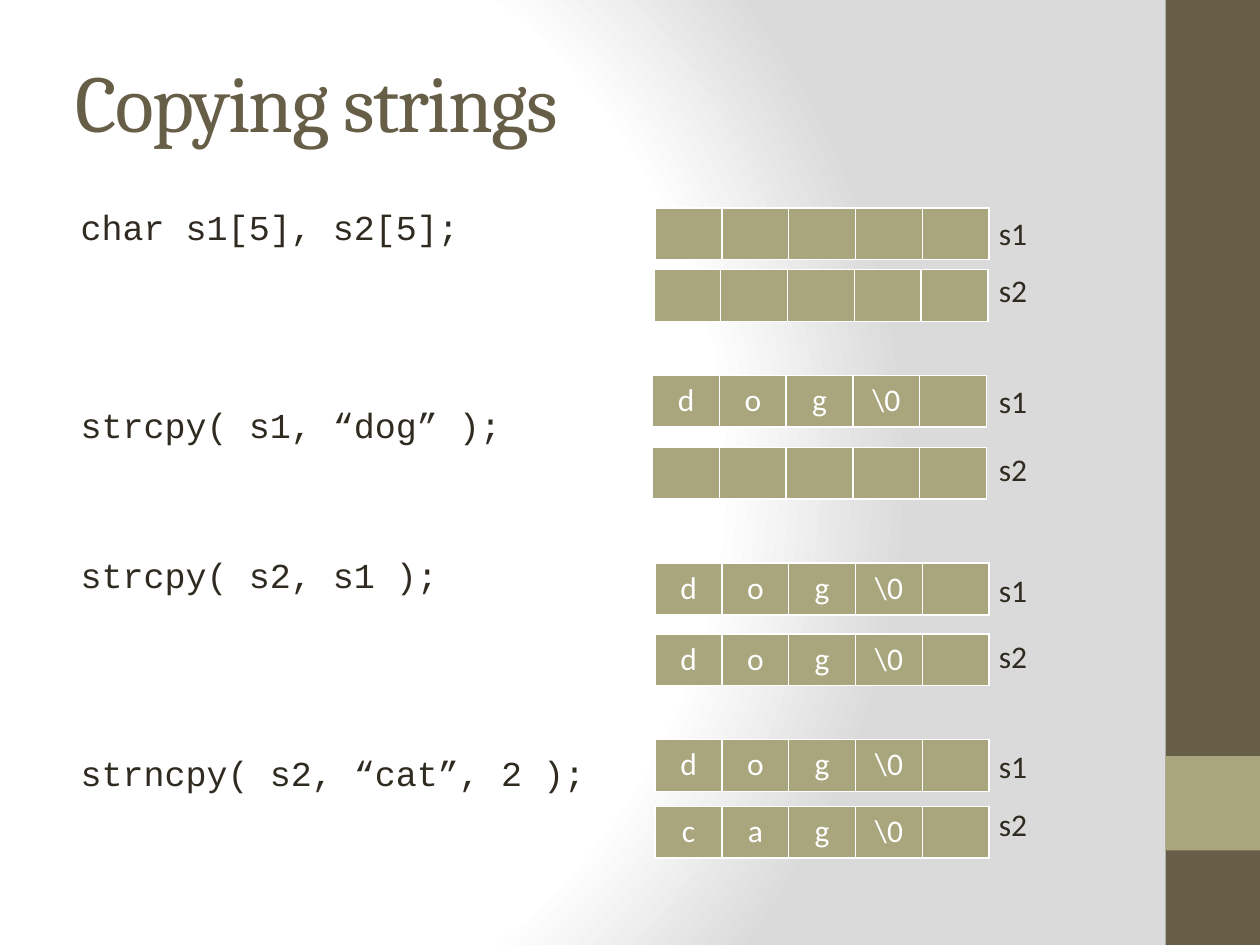
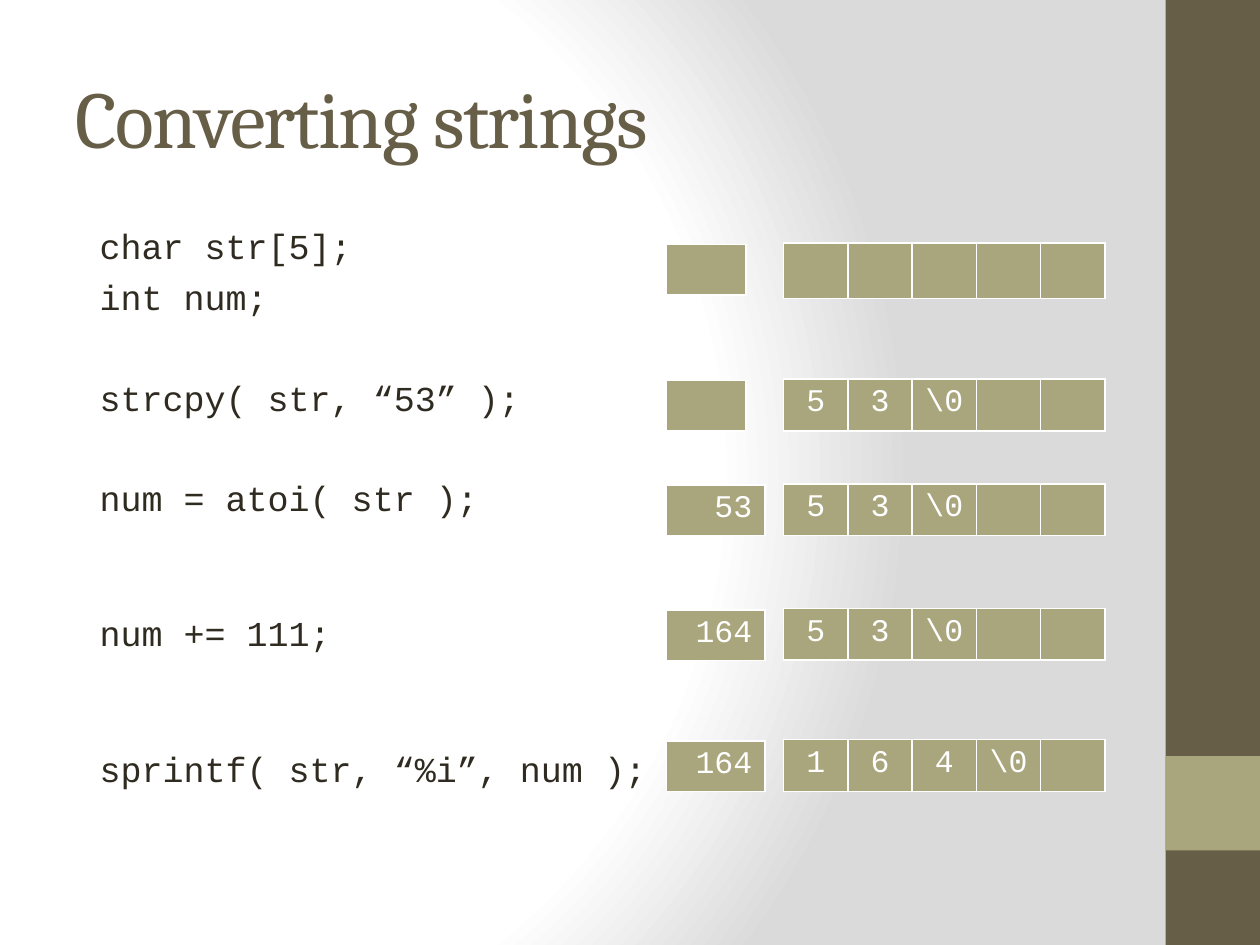
from dataclasses import dataclass
from pptx import Presentation
from pptx.dml.color import RGBColor
from pptx.enum.shapes import MSO_SHAPE
from pptx.enum.text import MSO_ANCHOR, MSO_AUTO_SIZE, PP_ALIGN
from pptx.oxml import parse_xml
from pptx.oxml.ns import nsdecls
from pptx.util import Inches, Pt

COPY = {
    "title": "Copying strings",
    "at": (1, 0.34),
    "code_at": (0.84, 3.16),
    "code": [
        ("char s1[5], s2[5];", 0),
        ("strcpy( s1, “dog” );", 89.4),
        ("strcpy( s2, s1 );", 61.4),
        ("strncpy( s2, “cat”, 2 );", 89.4),
    ],
    "arrays": [
        ("s1", "", 10.4, 3.3, 3.3),
        ("s2", "", 10.38, 4.28, 4.2),
        ("s1", "d o g \\0", 10.36, 5.96, 5.96),
        ("s2", "", 10.36, 7.1, 7.04),
        ("s1", "d o g \\0", 10.4, 8.94, 8.96),
        ("s2", "d o g \\0", 10.4, 10.06, 10.02),
        ("s1", "d o g \\0", 10.4, 11.74, 11.76),
        ("s2", "c a g \\0", 10.4, 12.8, 12.68),
    ],
}
CONVERT = {
    "title": "Converting strings",
    "at": (1, 0.6),
    "code_at": (1.14, 3.46),
    "code": [
        ("char str[5];", 0),
        ("int num;", 5.4),
        ("strcpy( str, “53” );", 33.4),
        ("num = atoi( str );", 33.4),
        ("num += 111;", 53.3),
        ("sprintf( str, “%i”, num );", 53.3),
    ],
    "states": [
        ("", "", 1.26, 3.86, 0.88),
        ("", "5 3 \\0", 1.26, 6.02, 0.82),
        ("53", "5 3 \\0", 1.56, 7.68, 0.82),
        ("164", "5 3 \\0", 1.56, 9.66, 0.82),
        ("164", "1 6 4 \\0", 1.56, 11.74, 0.82),
    ],
}
BANDS = [(0, 15, "dark"), (12, 1.5, "tan")]
SIZE = 5


@dataclass(frozen=True)
class Theme:
    dark: str = "675E47"
    tan: str = "A9A57C"
    ink: str = "2F2B20"
    white: str = "FFFFFF"
    gray: str = "DADADA"
    head: str = "Cambria"
    body: str = "Calibri"
    mono: str = "Courier New"
    big: int = 46
    mid: int = 20
    small: int = 18


T = Theme()
W, H = Inches(10), Inches(7.5)


def grid(*units):
    return [round(u * W / 20) for u in units]


def write(frame, lines, font=T.body, size=T.small, color=T.ink,
          align=PP_ALIGN.LEFT, track=0):
    for i, (line, gap) in enumerate(lines):
        para = frame.paragraphs[0] if i == 0 else frame.add_paragraph()
        para.alignment = align
        para.space_before = Pt(gap)
        run = para.add_run()
        run.text = line
        run.font.name = font
        run.font.size = Pt(size)
        run.font.bold = False
        run.font.color.rgb = RGBColor.from_string(color)
        if track:
            run.font._element.set("spc", str(track))


def box(slide, x, y, w, h, lines, wrap=False, inset=0.2, **style):
    frame = slide.shapes.add_textbox(*grid(x, y, w, h)).text_frame
    frame.word_wrap = wrap
    frame.margin_left = grid(inset)[0]
    write(frame, lines, **style)


def edge(cell):
    props = cell._tc.get_or_add_tcPr()
    for i, side in enumerate(("lnL", "lnR", "lnT", "lnB")):
        props.insert(i, parse_xml(
            f'<a:{side} {nsdecls("a")} w="12700"><a:solidFill>'
            f'<a:srgbClr val="{T.white}"/></a:solidFill></a:{side}>'))


def cells(slide, x, y, col, h, items, **style):
    count = len(items)
    table = slide.shapes.add_table(
        1, count, *grid(x, y, col * count, h)).table
    table.first_row = table.horz_banding = False
    for cell, item in zip(table.iter_cells(), items):
        cell.fill.solid()
        cell.fill.fore_color.rgb = RGBColor.from_string(T.tan)
        edge(cell)
        if item:
            write(cell.text_frame, [(item, 0)], color=T.white, **style)


def array(slide, x, y, col, h, chars, font):
    items = chars.split()
    items += [""] * (SIZE - len(items))
    cells(slide, x, y, col, h, items, font=font, align=PP_ALIGN.CENTER)


def dress(layout, slide):
    stops = "".join(
        f'<a:gs pos="{pos}000"><a:srgbClr val="{color}"/></a:gs>'
        for pos, color in ((0, T.white), (75, T.white), (100, T.gray)))
    layout.element.cSld.insert(0, parse_xml(
        f'<p:bg {nsdecls("p", "a")}><p:bgPr><a:gradFill><a:gsLst>{stops}'
        '</a:gsLst><a:path path="circle"><a:fillToRect l="20000" t="50000" '
        'r="100000" b="50000"/></a:path></a:gradFill><a:effectLst/>'
        '</p:bgPr></p:bg>'))
    for i, (y, h, tone) in enumerate(BANDS):
        band = slide.shapes.add_shape(
            MSO_SHAPE.RECTANGLE, *grid(18.5, y, 1.5, h))
        band.shadow.inherit = False
        band.fill.solid()
        band.fill.fore_color.rgb = RGBColor.from_string(getattr(T, tone))
        band.line.fill.background()
        layout.shapes.element.insert(2 + i, band.element)


def start(deck, layout, data):
    slide = deck.slides.add_slide(layout)
    title = slide.shapes.title
    title.left, title.top, title.width, title.height = grid(
        *data["at"], 16.66, 2.5)
    frame = title.text_frame
    frame.auto_size = MSO_AUTO_SIZE.NONE
    frame.vertical_anchor = MSO_ANCHOR.MIDDLE
    write(frame, [(data["title"], 0)], font=T.head, size=T.big,
          color=T.dark, track=-100)
    box(slide, *data["code_at"], 16, 10.5, data["code"], wrap=True,
        inset=0.44, font=T.mono, size=T.mid)
    return slide


def main():
    deck = Presentation()
    deck.slide_width, deck.slide_height = W, H
    layout = deck.slide_layouts[5]

    slide = start(deck, layout, COPY)
    dress(layout, slide)
    for name, chars, x, y, tag in COPY["arrays"]:
        array(slide, x, y, 1.06, 0.82, chars, T.body)
        box(slide, 15.66, tag, 0.86, 0.8, [(name, 0)])

    slide = start(deck, layout, CONVERT)
    for num, chars, wide, y, h in CONVERT["states"]:
        cells(slide, 10.58, y + 0.02, wide, 0.8, [num],
              font=T.mono, align=PP_ALIGN.RIGHT)
        array(slide, 12.44, y, 1.02, h, chars, T.mono)

    deck.save("out.pptx")


if __name__ == "__main__":
    main()
